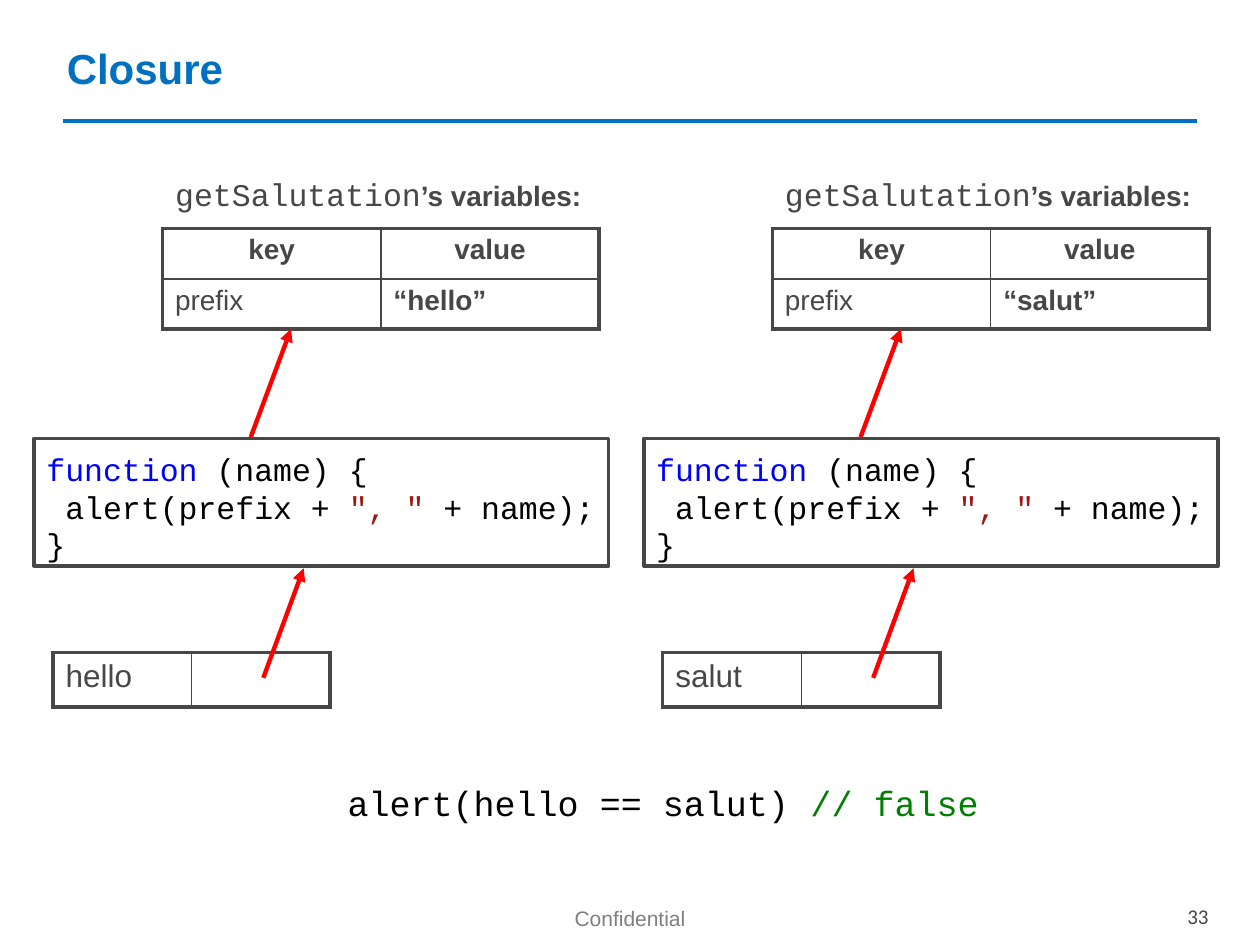
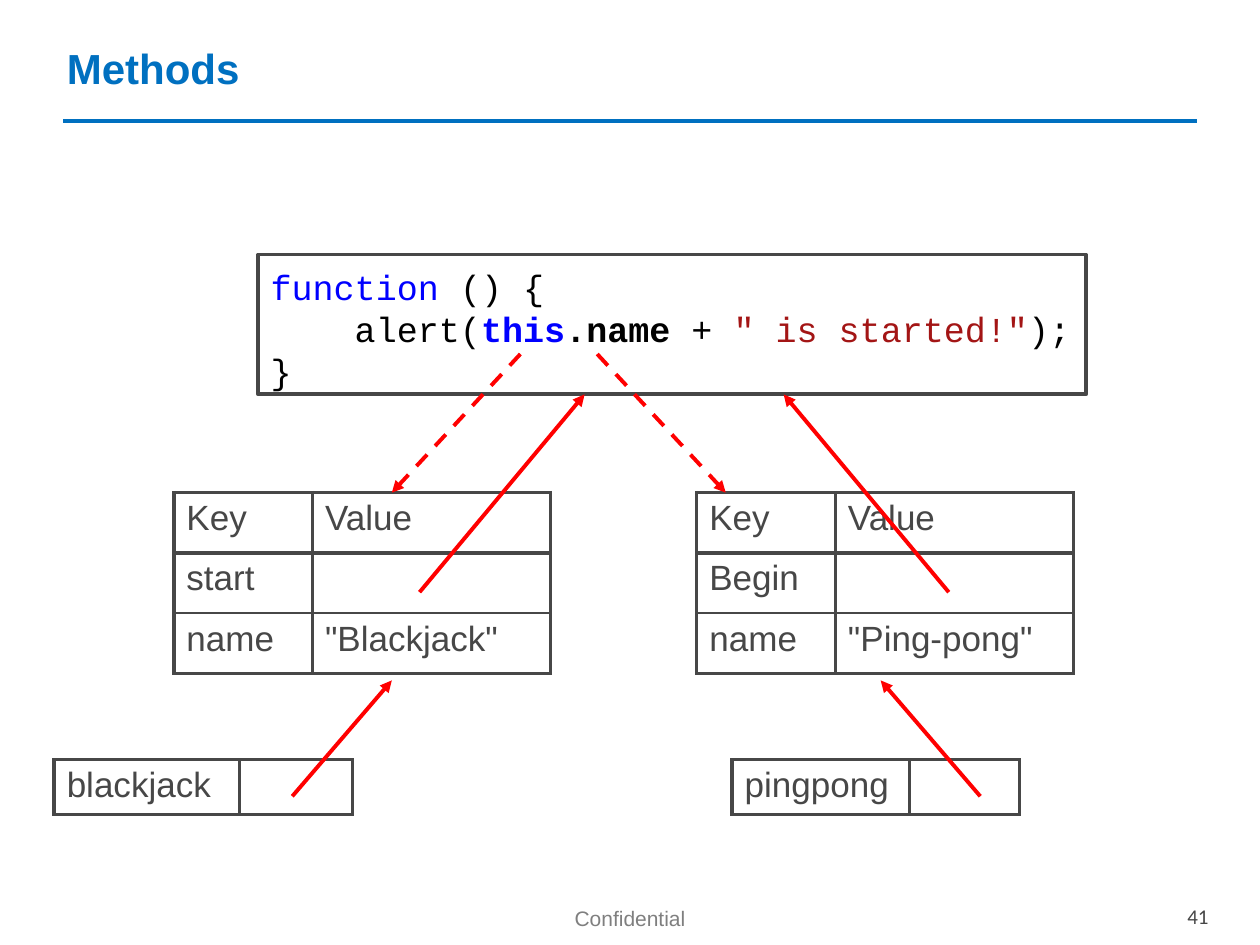
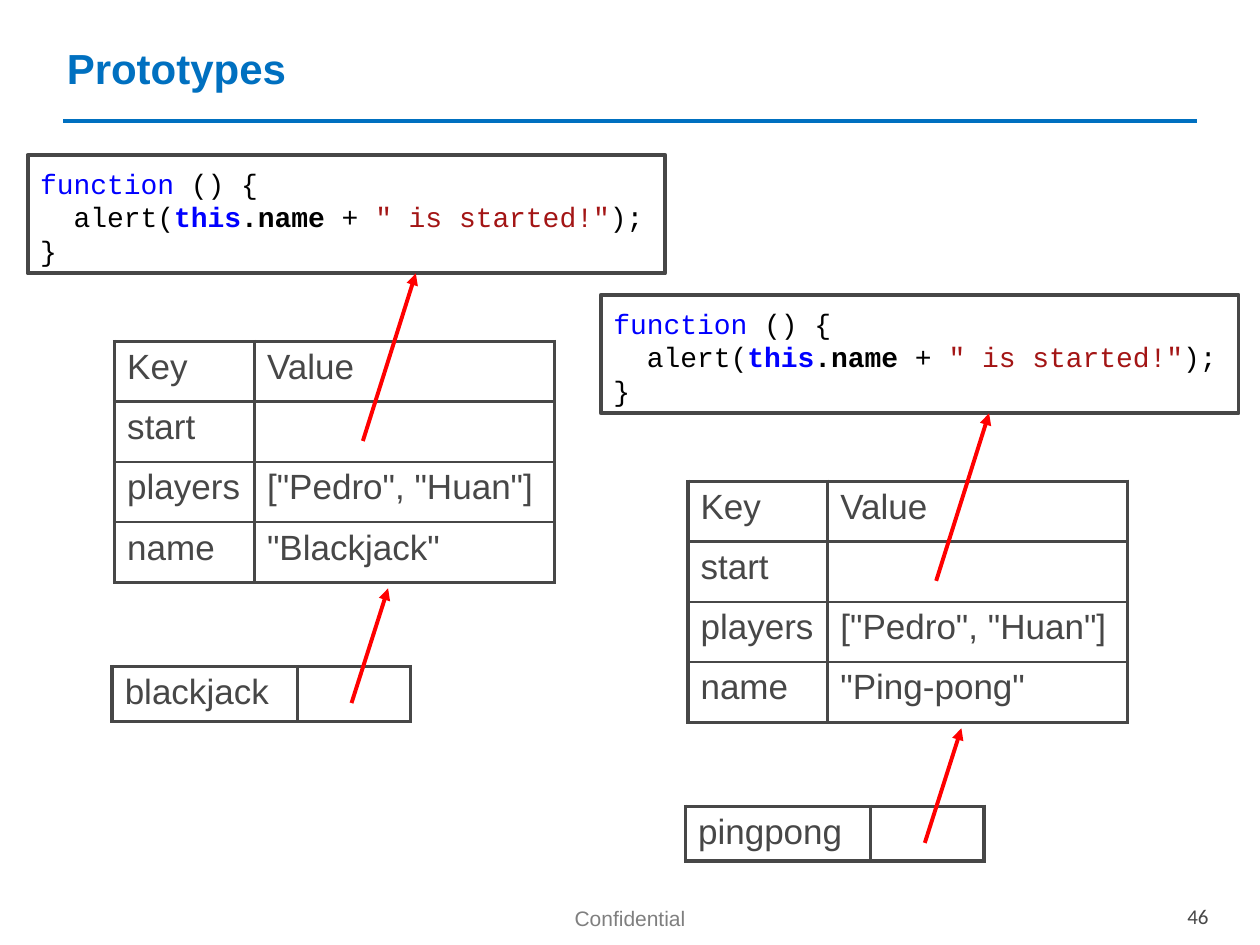
"""Build three slides that show closures, methods and prototypes as diagrams."""
from dataclasses import dataclass, field
from typing import NamedTuple

from lxml import etree
from pptx import Presentation
from pptx.dml.color import RGBColor
from pptx.enum.dml import MSO_LINE
from pptx.enum.shapes import MSO_CONNECTOR, MSO_SHAPE
from pptx.enum.text import MSO_ANCHOR, MSO_AUTO_SIZE, PP_ALIGN
from pptx.oxml.ns import qn
from pptx.util import Emu, Inches, Pt

LEFT, CENTER, RIGHT = PP_ALIGN.LEFT, PP_ALIGN.CENTER, PP_ALIGN.RIGHT
TOP, MIDDLE = MSO_ANCHOR.TOP, MSO_ANCHOR.MIDDLE
STRAIGHT, RECT = MSO_CONNECTOR.STRAIGHT, MSO_SHAPE.RECTANGLE
DASH, FIXED = MSO_LINE.DASH, MSO_AUTO_SIZE.NONE
WIDTH, HEIGHT = Inches(10), Inches(7.5)
COLS = 100
UNIT = WIDTH / COLS
TITLE_ONLY = 5


class Look(NamedTuple):
    font: str
    color: str
    bold: bool = False


@dataclass(frozen=True)
class Theme:
    blue: str = "0070C0"
    ink: str = "474747"
    red: str = "FF0000"
    white: str = "FFFFFF"
    title: float = 24
    large: float = 20
    mid: float = 18
    small: float = 16
    foot: float = 12
    heavy: float = 2.25
    thin: float = 1
    rule: float = 2
    pitch: float = 1.2
    looks: dict[str, Look] = field(default_factory=lambda: {
        "title": Look("Arial", "0070C0", True),
        "body": Look("Arial", "474747"),
        "strong": Look("Arial", "474747", True),
        "mono": Look("Courier New", "474747"),
        "code": Look("Courier New", "000000"),
        "bold": Look("Courier New", "000000", True),
        "word": Look("Courier New", "0000FF"),
        "this": Look("Courier New", "0000FF", True),
        "quote": Look("Courier New", "A31515"),
        "note": Look("Courier New", "008000"),
        "foot": Look("Arial", "7F7F7F"),
        "page": Look("Calibri", "474747"),
    })


THEME = Theme()


class Spot(NamedTuple):
    col: float
    row: float

    def move(self, step: "Spot") -> "Spot":
        return Spot(self.col + step.col, self.row + step.row)


class Box(NamedTuple):
    spot: Spot
    wide: float
    high: float


class Bit(NamedTuple):
    text: str
    look: str
    size: float


Line = tuple[Bit, ...]


@dataclass(frozen=True)
class Sheet:
    spot: Spot
    cols: tuple[float, ...]
    rows: tuple[float, ...]
    cells: tuple[tuple[Line, ...], ...]
    inner: float = THEME.heavy
    caption: bool = False


class Arrow(NamedTuple):
    start: Spot
    end: Spot
    wide: float = THEME.heavy
    dashed: bool = False


def span(units: float) -> Emu:
    """Turn grid units into a length."""
    return Emu(round(units * UNIT))


def place(box: Box) -> tuple[Emu, ...]:
    """Turn a grid box into left, top, width and height."""
    return tuple(span(n) for n in (*box.spot, box.wide, box.high))


def tint(color: str) -> RGBColor:
    """Read a colour from its hex code."""
    return RGBColor.from_string(color)


def style(run, look: str, size: float) -> None:
    """Format one run."""
    kind = THEME.looks[look]
    run.font.name, run.font.size, run.font.bold = kind.font, Pt(size), kind.bold
    run.font.color.rgb = tint(kind.color)


def write(frame, lines: tuple[Line, ...], align=LEFT, pitch: float = 0) -> None:
    """Fill a text frame, one paragraph a line."""
    frame.text = "\n".join("" for _ in lines)
    for para, line in zip(frame.paragraphs, lines):
        para.alignment = align
        if pitch:
            para.line_spacing = Pt(line[0].size * pitch)
        for bit in line:
            run = para.add_run()
            run.text = bit.text
            style(run, bit.look, bit.size)


def label(slide, box: Box, bit: Bit, align) -> None:
    """Add a footer text."""
    frame = slide.shapes.add_textbox(*place(box)).text_frame
    frame.word_wrap = True
    frame.margin_top = Inches(0.07)
    write(frame, ((bit,),), align)


def draw(slide, start: Spot, end: Spot, color: str, wide: float):
    """Draw a plain straight line."""
    ends = (span(n) for n in (*start, *end))
    link = slide.shapes.add_connector(STRAIGHT, *ends)
    link.line.color.rgb = tint(color)
    link.line.width = Pt(wide)
    etree.SubElement(link.element.spPr, qn("a:effectLst"))
    return link


def point(slide, arrow: Arrow) -> None:
    """Draw a red arrow."""
    link = draw(slide, arrow.start, arrow.end, THEME.red, arrow.wide)
    if arrow.dashed:
        link.line.dash_style = DASH
    edge = link.element.spPr.find(qn("a:ln"))
    etree.SubElement(edge, qn("a:tailEnd"), type="triangle")


def code(slide, box: Box, lines: tuple[Line, ...], framed: bool = True,
         filled: bool = False) -> None:
    """Show code, in a frame or bare."""
    if framed:
        shape = slide.shapes.add_shape(RECT, *place(box))
        shape.shadow.inherit = False
        shape.line.color.rgb = tint(THEME.ink)
        shape.line.width = Pt(THEME.heavy)
        shape.fill.background()
        if filled:
            shape.fill.solid()
            shape.fill.fore_color.rgb = tint(THEME.white)
    else:
        shape = slide.shapes.add_textbox(*place(box))
    frame = shape.text_frame
    frame.word_wrap, frame.auto_size = True, FIXED
    frame.vertical_anchor = TOP
    frame.margin_top, frame.margin_right = Inches(0.09), 0
    write(frame, lines, pitch=THEME.pitch)


def border(cell, sides: dict[str, float]) -> None:
    """Set the four borders of a cell; zero means none."""
    props = cell._tc.get_or_add_tcPr()
    for side in "LRTB":
        wide = sides[side]
        edge = etree.SubElement(props, qn(f"a:ln{side}"), w=str(int(Pt(wide))))
        if wide:
            fill = etree.SubElement(edge, qn("a:solidFill"))
            etree.SubElement(fill, qn("a:srgbClr"), val=THEME.ink)
        else:
            etree.SubElement(edge, qn("a:noFill"))


def tabled(slide, sheet: Sheet) -> None:
    """Draw a table with heavy outer and header borders."""
    high, wide = len(sheet.rows), len(sheet.cols)
    box = Box(sheet.spot, sum(sheet.cols), sum(sheet.rows))
    table = slide.shapes.add_table(high, wide, *place(box)).table
    table.first_row = table.horz_banding = False
    for part, size in zip(table.columns, sheet.cols):
        part.width = span(size)
    for part, size in zip(table.rows, sheet.rows):
        part.height = span(size)
    flat = [THEME.heavy if i in (0, 1, high) else THEME.thin for i in range(high + 1)]
    up = [THEME.heavy, *[sheet.inner] * (wide - 1), THEME.heavy]
    if sheet.caption:
        flat[0] = 0
        table.cell(0, 0).merge(table.cell(0, wide - 1))
    for r in range(high):
        for c in range(wide):
            cell = table.cell(r, c)
            bare = sheet.caption and r == 0
            border(cell, {"L": 0 if bare else up[c], "R": 0 if bare else up[c + 1],
                          "T": flat[r], "B": flat[r + 1]})
            cell.fill.background()
            if sheet.cells[r][c]:
                align = CENTER if sheet.caption and r == 1 else LEFT
                write(cell.text_frame, (sheet.cells[r][c],), align)


def start(deck, title: str, page: str):
    """Add a slide with its title, rule and footer."""
    slide = deck.slides.add_slide(deck.slide_layouts[TITLE_ONLY])
    head = slide.shapes.title
    head.left, head.top, head.width, head.height = place(Box(Spot(4.3, 0), 90, 10.8))
    frame = head.text_frame
    frame.text = title
    frame.vertical_anchor, frame.auto_size = MIDDLE, FIXED
    frame.paragraphs[0].alignment = LEFT
    style(frame.paragraphs[0].runs[0], "title", THEME.title)
    draw(slide, Spot(5, 9.6), Spot(95, 9.6), THEME.blue, THEME.rule)
    label(slide, Box(Spot(39.4, 71.2), 21.2, 3.9),
          Bit("Confidential", "foot", THEME.foot), CENTER)
    label(slide, Box(Spot(87.9, 71), 9, 2.8), Bit(page, "page", THEME.foot), RIGHT)
    return slide


def plain(text: str, size: float = THEME.large, look: str = "body") -> Line:
    """Make a line of one bit, or none."""
    return (Bit(text, look, size),) if text else ()


def pairs(spot: Spot, cols: tuple[float, ...], *rows: tuple[str, str]) -> Sheet:
    """Make a table of keys and values."""
    body = (("Key", "Value"), *rows)
    cells = tuple(tuple(plain(text) for text in row) for row in body)
    return Sheet(spot, cols, (4.78,) * len(body), cells)


def holder(spot: Spot, cols: tuple[float, ...], name: str,
           size: float = THEME.large, inner: float = THEME.heavy) -> Sheet:
    """Make a variable: its name and an empty cell."""
    return Sheet(spot, cols, (4.33,), ((plain(name, size), ()),), inner)


def starter(size: float, indent: int) -> tuple[Line, ...]:
    """Write the function that reports a start."""
    return (
        (Bit("function", "word", size), Bit(" () {", "code", size)),
        (Bit(" " * indent + "alert(", "code", size), Bit("this", "this", size),
         Bit(".name", "bold", size), Bit(" + ", "code", size),
         Bit('" is started!"', "quote", size), Bit(");", "code", size)),
        plain("}", size, "code"),
    )


def closure(deck) -> None:
    """Build the closure slide."""
    slide = start(deck, "Closure", "33")
    mid, small = THEME.mid, THEME.small
    greet = (
        (Bit("function", "word", mid), Bit(" (name) {", "code", mid)),
        (Bit(" alert(prefix + ", "code", mid), Bit('", "', "quote", mid),
         Bit(" + name);", "code", mid)),
        plain("}", mid, "code"),
    )
    caption = (Bit("getSalutation", "mono", mid),
               Bit("\u2019s variables:", "strong", small))
    for i, name in enumerate(("hello", "salut")):
        step = Spot(48.4 * i, 0)
        cells = (
            (caption, ()),
            (plain("key", small, "strong"), plain("value", small, "strong")),
            (plain("prefix", small),
             plain(f"\u201c{name}\u201d", small, "strong")),
        )
        tabled(slide, Sheet(Spot(12.9, 13.8).move(step), (17.33, 17.33),
                            (4.33, 4, 4), cells, THEME.thin, True))
        code(slide, Box(Spot(2.7, 34.8).move(step), 45.6, 10.1), greet)
        tabled(slide, holder(Spot(4.2, 51.8).move(step), (11, 11), name, mid, THEME.thin))
        for tail, tip in ((Spot(19.9, 34.7), Spot(23.1, 26.1)),
                          (Spot(20.9, 53.8), Spot(24.1, 45.1))):
            point(slide, Arrow(tail.move(step), tip.move(step), 2.5))
    code(slide, Box(Spot(26.6, 61.1), 52.5, 4.4),
         ((Bit("alert(hello == salut)", "code", THEME.large),
           Bit(" // false", "note", THEME.large)),), framed=False)


def methods(deck) -> None:
    """Build the methods slide."""
    slide = start(deck, "Methods", "41")
    code(slide, Box(Spot(20.5, 20.2), 65.7, 11.1), starter(THEME.large, 4))
    cols = (11, 18.9)
    tabled(slide, pairs(Spot(13.8, 39.1), cols, ("start", ""), ("name", '"Blackjack"')))
    tabled(slide, pairs(Spot(55.3, 39.1), cols, ("Begin", ""), ("name", '"Ping-pong"')))
    tabled(slide, holder(Spot(4.3, 60.3), (14.7, 9), "blackjack"))
    tabled(slide, holder(Spot(58.1, 60.3), (14.1, 8.7), "pingpong"))
    sides = (((23.2, 31.1), (33.3, 46.4), (41.3, 31.1)),
             ((77.8, 69.9), (75.3, 62.2), (47.4, 57.6)))
    levels = ((63.2, 54), (47, 31.3), (28.1, 39.1))
    for side in sides:
        for (tail, tip), (low, high) in zip(side, levels):
            point(slide, Arrow(Spot(tail, low), Spot(tip, high), dashed=high > low))


def protos(deck) -> None:
    """Build the prototypes slide."""
    slide = start(deck, "Prototypes", "46")
    for i, (name, title) in enumerate((("blackjack", "Blackjack"),
                                       ("pingpong", "Ping-pong"))):
        step = Spot(45.5 * i, 11.1 * i)
        code(slide, Box(Spot(2.2, 12.3).move(step), 50.6, 9.4),
             starter(THEME.small, 2), filled=i == 0)
        tabled(slide, pairs(Spot(9.1, 27.1).move(step), (11.1, 23.8), ("start", ""),
                            ("players", '["Pedro", "Huan"]'), ("name", f'"{title}"')))
        tabled(slide, holder(Spot(8.9, 52.9).move(step), (14.7, 9), name))
        for tail, tip in ((Spot(27.9, 55.8), Spot(30.8, 46.7)),
                          (Spot(28.8, 35), Spot(33, 21.7))):
            point(slide, Arrow(tail.move(step), tip.move(step)))


def main() -> None:
    """Build and save the deck."""
    deck = Presentation()
    deck.slide_width, deck.slide_height = WIDTH, HEIGHT
    for build in (closure, methods, protos):
        build(deck)
    deck.save("out.pptx")


main()
